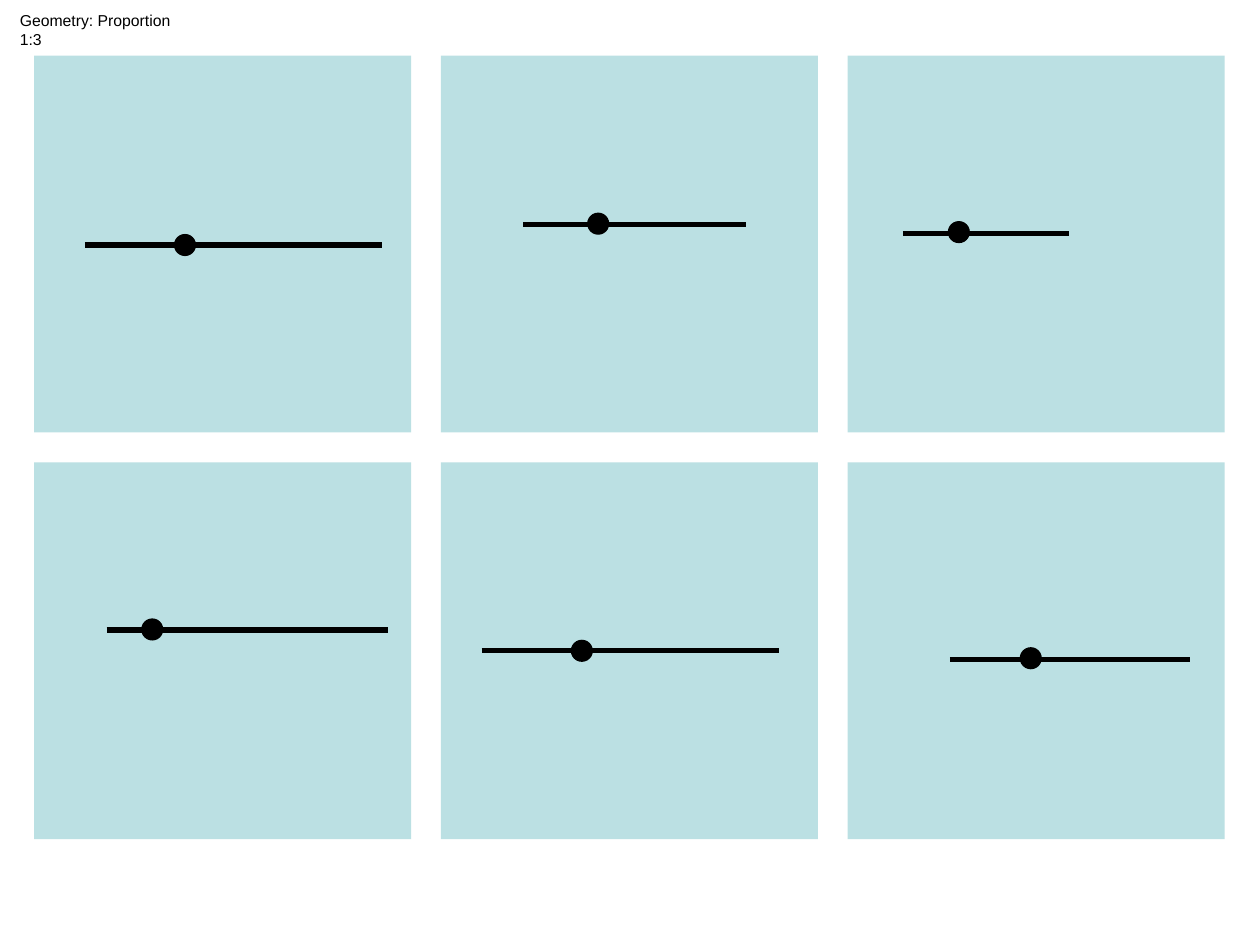
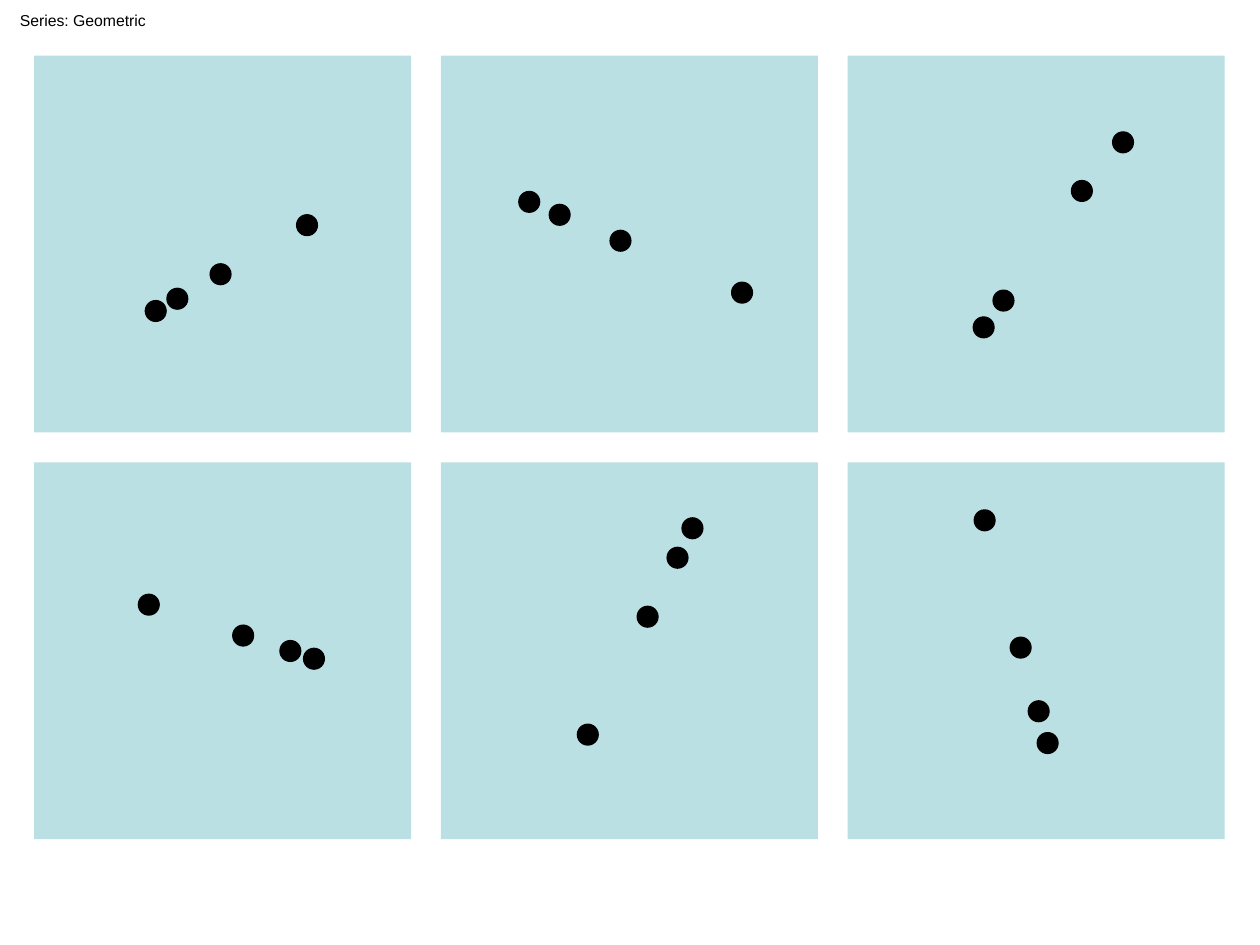
import pptx
import pptx.dml.color
import pptx.enum.shapes
import pptx.enum.text
import pptx.oxml.ns
import pptx.util
from lxml import etree
from pptx.util import Cm

COLORS = {"panel": "BBE0E3", "ink": "000000"}
FONT = "Arial"

PANEL_LEFT, PANEL_TOP = 0.69, 1.12
PANEL_SIZE, PANEL_STEP = 7.6, 8.2
COLUMNS, ROWS = 3, 2
DOT_SIZE = 0.42

# Places are in centimetres from the top left corner of each panel, row by row.
PROPORTION_TITLE = ("Geometry: Proportion 1:3", 4.06)
PROPORTIONS = [
    {"start": (1.02, 3.82), "length": 5.99, "segments": 3, "dot": (3.04, 3.82)},
    {"start": (1.66, 3.40), "length": 4.48, "segments": 3, "dot": (3.17, 3.39)},
    {"start": (1.11, 3.59), "length": 3.35, "segments": 3, "dot": (2.24, 3.56)},
    {"start": (1.46, 3.38), "length": 5.68, "segments": 1, "dot": (2.38, 3.37)},
    {"start": (0.82, 3.80), "length": 5.99, "segments": 3, "dot": (2.84, 3.80)},
    {"start": (2.06, 3.97), "length": 4.83, "segments": 3, "dot": (3.69, 3.95)},
]


def geometric_series(first, last):
    """Four points from first to last, each gap twice the one before."""
    return [tuple(a + (b - a) * step / 7 for a, b in zip(first, last))
            for step in (0, 1, 3, 7)]


SERIES_TITLE = ("Series: Geometric", 3.05)
SERIES = [
    geometric_series((2.45, 5.15), (5.50, 3.42)),
    geometric_series((1.78, 2.95), (6.07, 4.78)),
    [(2.74, 5.48), (3.14, 4.94), (4.72, 2.73), (5.55, 1.75)],
    geometric_series((5.64, 3.96), (2.31, 2.87)),
    geometric_series((5.07, 1.33), (2.96, 5.49)),
    geometric_series((4.03, 5.66), (2.76, 1.17)),
]

PANEL_CORNERS = [(PANEL_LEFT + column * PANEL_STEP, PANEL_TOP + row * PANEL_STEP)
                 for row in range(ROWS) for column in range(COLUMNS)]


def color(name):
    return pptx.dml.color.RGBColor.from_string(COLORS[name])


def add_filled(page, kind, left, top, size, fill):
    shape = page.shapes.add_shape(kind, Cm(left), Cm(top), Cm(size), Cm(size))
    shape.shadow.inherit = False
    shape.fill.solid()
    shape.fill.fore_color.rgb = color(fill)
    shape.line.fill.background()
    return shape


def add_dot(page, corner, center):
    left, top = (a + b - DOT_SIZE / 2 for a, b in zip(corner, center))
    dot = add_filled(page, pptx.enum.shapes.MSO_SHAPE.OVAL, left, top, DOT_SIZE, "ink")
    dot.line.color.rgb = color("ink")
    dot.line.width = pptx.util.Pt(0.75)


def add_segmented_line(page, corner, start, length, segments):
    left, y = (a + b for a, b in zip(corner, start))
    piece = length / segments
    for index in range(segments):
        begin = left + index * piece
        line = page.shapes.add_connector(
            pptx.enum.shapes.MSO_CONNECTOR.STRAIGHT,
            Cm(begin), Cm(y), Cm(begin + piece), Cm(y))
        line.line.color.rgb = color("ink")
        line.line.width = pptx.util.Pt(3)
        etree.SubElement(line._element.spPr, pptx.oxml.ns.qn("a:effectLst"))


def add_page(deck, title, width):
    """Add a slide with its title and the grid of panels."""
    page = deck.slides.add_slide(deck.slide_layouts[6])
    for left, top in PANEL_CORNERS:
        add_filled(page, pptx.enum.shapes.MSO_SHAPE.RECTANGLE,
                   left, top, PANEL_SIZE, "panel")
    box = page.shapes.add_textbox(Cm(0.15), Cm(0.1), Cm(width), Cm(0.64))
    frame = box.text_frame
    frame.text = title
    frame.word_wrap = False
    frame.auto_size = pptx.enum.text.MSO_AUTO_SIZE.SHAPE_TO_FIT_TEXT
    font = frame.paragraphs[0].runs[0].font
    font.name = FONT
    font.size = pptx.util.Pt(9)
    font.color.rgb = color("ink")
    return page


def main():
    deck = pptx.Presentation()
    deck.slide_width, deck.slide_height = Cm(25.4), Cm(19.05)

    page = add_page(deck, *PROPORTION_TITLE)
    for corner, figure in zip(PANEL_CORNERS, PROPORTIONS):
        add_segmented_line(page, corner, figure["start"], figure["length"],
                           figure["segments"])
        add_dot(page, corner, figure["dot"])

    page = add_page(deck, *SERIES_TITLE)
    for corner, centers in zip(PANEL_CORNERS, SERIES):
        for center in centers:
            add_dot(page, corner, center)

    deck.save("out.pptx")


if __name__ == "__main__":
    main()
